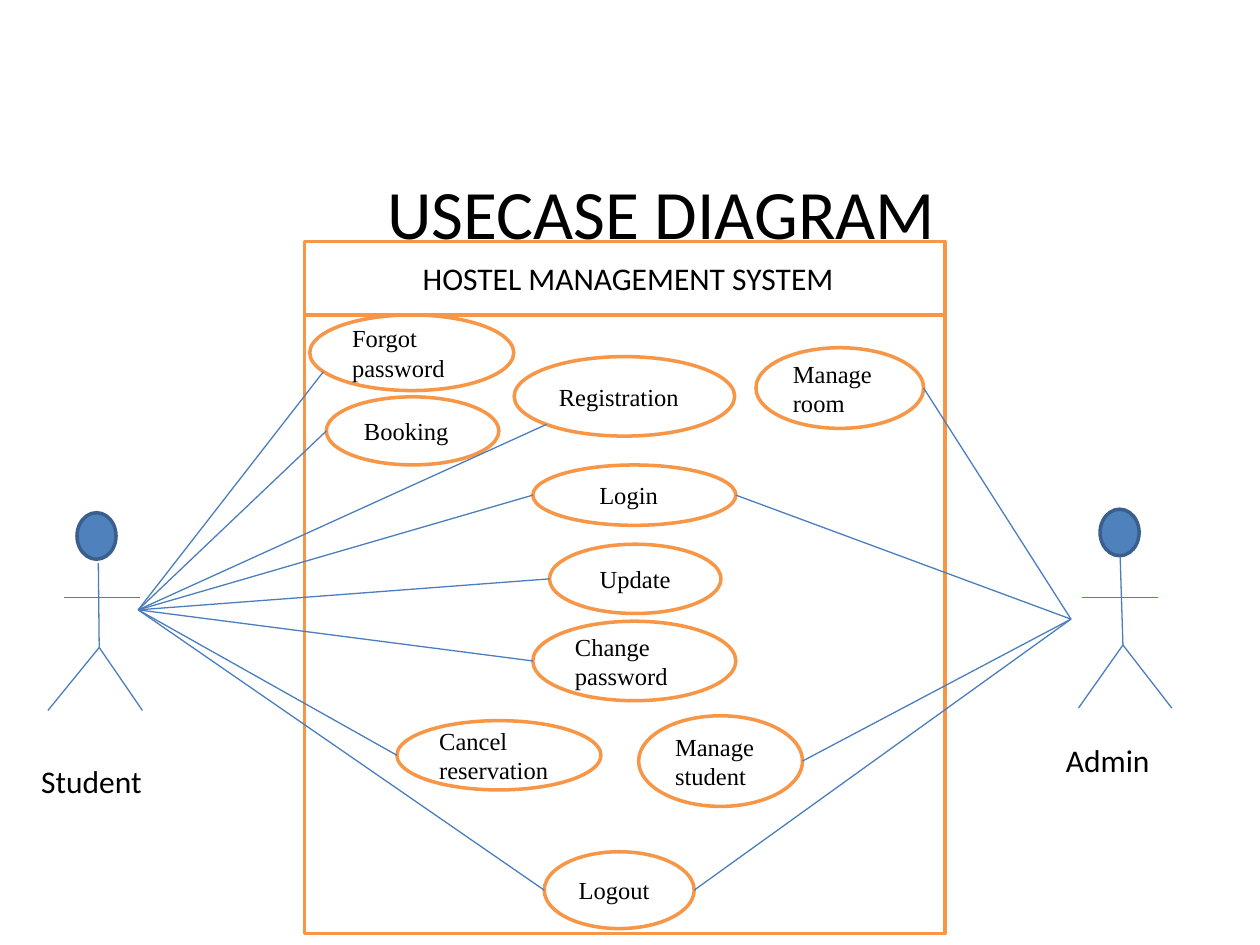
import math
from dataclasses import dataclass

from lxml import etree
from pptx import Presentation
from pptx.dml.color import RGBColor
from pptx.enum import shapes, text
from pptx.oxml.ns import qn
from pptx.util import Pt


@dataclass(frozen=True)
class Theme:
    ink: str = "000000"
    paper: str = "FFFFFF"
    frame: str = "F79646"
    head: str = "4F81BD"
    head_edge: str = "3A5F8C"
    link: str = "4B7EBC"
    sans: str = "Calibri"
    serif: str = "Times New Roman"
    title_size: float = 39.6
    label_size: float = 18
    case_size: float = 14
    edge_width: float = 2
    link_width: float = 0.75


THEME = Theme()
INSET = 7.2
RIGHT, LEFT, LOWER_LEFT, LEFT_BELOW = 0, 180, 135, 150  # clockwise degrees

# name: (left, top, width, height), text format
USE_CASES = {
    "Forgot password": ((177, 180, 116.6, 43.2), {}),
    "Login": ((304.5, 265.7, 116, 34.5), {"inset": 21}),
    "Manage room": ((432, 198.7, 95.8, 46.1), {}),
    "Booking": ((186.5, 226.8, 98.6, 38.9), {}),
    "Update": ((314, 311, 98, 39.6), {"align": text.PP_ALIGN.CENTER}),
    "Manage student": ((365, 409, 93.6, 51.8), {}),
    "Cancel reservation": ((226.8, 411.8, 116.6, 39.6), {}),
    "Change password": ((304.5, 355, 116, 45.4), {}),
    "Registration": ((293.8, 203.8, 126, 45.4), {}),
    "Logout": ((311, 486.7, 85.7, 43.9), {}),
}


@dataclass(frozen=True)
class Actor:
    name: str
    label_box: tuple
    head: tuple
    neck: tuple
    hip: tuple
    feet: tuple
    arm_left: float
    hand: tuple
    links: dict


ACTORS = (
    Actor("Student", (16.5, 432, 77, 29), (44, 293), (56.2, 321.8),
          (56.7, 370), ((27.4, 406), (81.4, 406)), 36.7, (79, 348.5),
          {"Forgot password": LEFT_BELOW, "Booking": LEFT,
           "Registration": LOWER_LEFT, "Login": LEFT, "Update": LEFT,
           "Change password": LEFT, "Cancel reservation": LEFT,
           "Logout": LEFT}),
    Actor("Admin", (602, 420, 63, 29), (628.6, 291), (640.1, 318.2),
          (641.7, 368.6), ((616.3, 404.6), (669.6, 404.6)), 618.5, (612, 353.8),
          {"Manage room": RIGHT, "Login": RIGHT,
           "Manage student": RIGHT, "Logout": RIGHT}),
)


def rgb(code):
    return RGBColor.from_string(code)


def write(holder, words, size, font=THEME.sans, align=text.PP_ALIGN.LEFT,
          anchor=text.MSO_ANCHOR.MIDDLE, inset=INSET, wrap=True):
    frame = holder.text_frame
    frame.word_wrap = wrap
    frame.vertical_anchor = anchor
    frame.margin_left = Pt(inset)
    line = frame.paragraphs[0]
    line.alignment = align
    run = line.add_run()
    run.text = words
    run.font.size = Pt(size)
    run.font.name = font
    run.font.color.rgb = rgb(THEME.ink)


def add_label(slide, box, words, size, **style):
    write(slide.shapes.add_textbox(*map(Pt, box)), words, size, **style)


def add_outlined(slide, kind, box, fill=THEME.paper, edge=THEME.frame):
    shape = slide.shapes.add_shape(kind, *map(Pt, box))
    shape.shadow.inherit = False
    shape.fill.solid()
    shape.fill.fore_color.rgb = rgb(fill)
    shape.line.color.rgb = rgb(edge)
    shape.line.width = Pt(THEME.edge_width)
    return shape


def add_line(slide, start, end):
    line = slide.shapes.add_connector(
        shapes.MSO_CONNECTOR.STRAIGHT, *map(Pt, (*start, *end)))
    line.line.color.rgb = rgb(THEME.link)
    line.line.width = Pt(THEME.link_width)
    etree.SubElement(line._element.spPr, qn("a:effectLst"))


def rim_point(box, degrees):
    """Point on the oval inside box, at an angle clockwise from its right."""
    left, top, width, height = box
    angle = math.radians(degrees)
    return (left + width / 2 * (1 + math.cos(angle)),
            top + height / 2 * (1 + math.sin(angle)))


def add_system(slide):
    rect = shapes.MSO_SHAPE.RECTANGLE
    add_outlined(slide, rect, (174, 173.5, 366, 360))
    for name, (box, style) in USE_CASES.items():
        oval = add_outlined(slide, shapes.MSO_SHAPE.OVAL, box)
        write(oval, name, THEME.case_size, font=THEME.serif, **style)
    header = add_outlined(slide, rect, (174, 138, 366, 42))
    write(header, "HOSTEL MANAGEMENT SYSTEM", THEME.label_size,
          align=text.PP_ALIGN.CENTER, inset=11)


def add_actor(slide, actor):
    arm_span, arm_top = 43.2, 341.3
    add_outlined(slide, shapes.MSO_SHAPE.OVAL, (*actor.head, 22.3, 26.6),
                 THEME.head, THEME.head_edge)
    add_line(slide, actor.neck, actor.hip)
    add_line(slide, (actor.arm_left, arm_top),
             (actor.arm_left + arm_span, arm_top))
    for foot in actor.feet:
        add_line(slide, actor.hip, foot)
    for case, angle in actor.links.items():
        add_line(slide, actor.hand, rim_point(USE_CASES[case][0], angle))
    add_label(slide, actor.label_box, actor.name, THEME.label_size,
              anchor=text.MSO_ANCHOR.TOP, wrap=False)


def main():
    deck = Presentation()
    deck.slide_width, deck.slide_height = Pt(720), Pt(540)
    slide = deck.slides.add_slide(deck.slide_layouts[6])
    add_label(slide, (72, 78, 612, 85.5), "USECASE DIAGRAM", THEME.title_size,
              align=text.PP_ALIGN.CENTER)
    add_system(slide)
    for actor in ACTORS:
        add_actor(slide, actor)
    deck.save("out.pptx")


if __name__ == "__main__":
    main()
